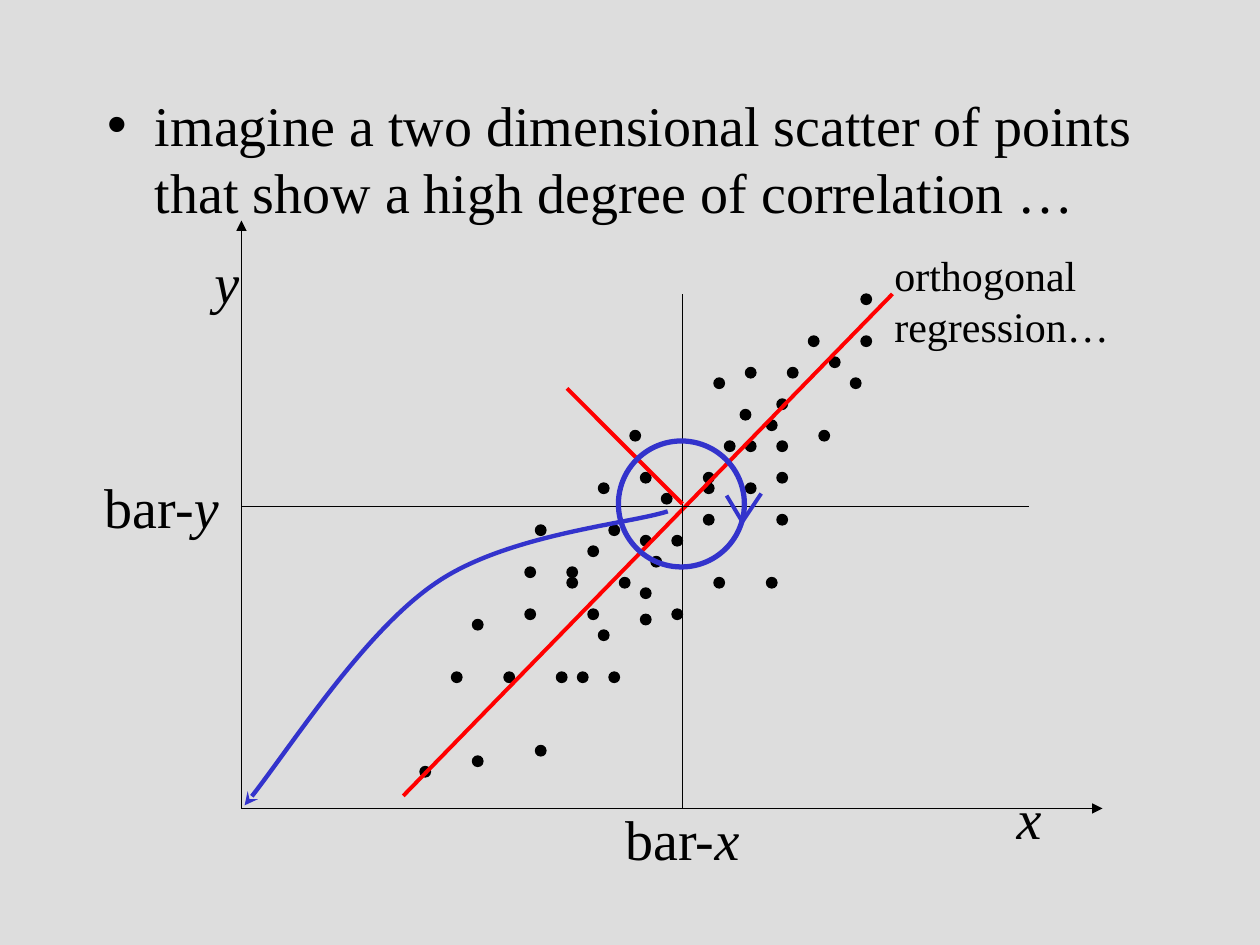
from lxml.etree import SubElement
from pptx import Presentation
from pptx.dml.color import RGBColor
from pptx.enum.shapes import MSO_CONNECTOR as Connector, MSO_SHAPE as Preset
from pptx.enum.text import MSO_ANCHOR as Anchor, MSO_AUTO_SIZE as AutoSize, PP_ALIGN as Align
from pptx.oxml.ns import qn
from pptx.util import Inches, Pt

BLACK, RED, BLUE, GREY = "000000", "FF0000", "3333CC", "DDDDDD"
COLUMNS, ROWS = 120, 90  # grid cells of 1/12 inch

# Scatter: grid row -> grid columns of the dots in that row
DOTS = {
    28: [82], 32: [77, 82], 34: [79], 35: [71, 75], 36: [68, 81], 38: [74],
    39: [70.5], 40: [73], 41: [60, 78], 42: [69, 71, 74], 45: [61, 67, 74],
    46: [57, 67, 71], 47: [63], 49: [67, 74], 50: [51, 58], 51: [61, 64],
    52: [56], 53: [62], 54: [50, 54], 55: [54, 59, 68, 73], 56: [61],
    58: [50, 56, 64], 58.5: [61], 59: [45], 60: [57],
    64: [43, 48, 53, 55, 58], 71: [51], 72: [45], 73: [40],
}


def color(value):
    return RGBColor.from_string(value)


def write(paragraph, text, font="Times New Roman", size=32, ink=BLACK, italic=False):
    run = paragraph.add_run()
    run.text = text
    run.font.name, run.font.size, run.font.italic = font, Pt(size), italic
    run.font.color.rgb = color(ink)


class Canvas:
    """Holds the current slide and draws on it in grid cells."""

    def __init__(self, presentation, background):
        self.slide = presentation.slides.add_slide(presentation.slide_layouts[1])
        self.cell_width = presentation.slide_width / COLUMNS
        self.cell_height = presentation.slide_height / ROWS
        self.slide.background.fill.solid()
        self.slide.background.fill.fore_color.rgb = color(background)
        self.shapes = self.slide.shapes

    def place(self, *cells):
        sizes = (self.cell_width, self.cell_height) * 2
        return [round(cell * size) for cell, size in zip(cells, sizes)]

    def group(self):
        self.shapes = self.slide.shapes.add_group_shape().shapes

    def ungroup(self):
        self.shapes = self.slide.shapes

    def outline(self, line, ink, width, head=None):
        line.color.rgb, line.width = color(ink), Pt(width)
        if head:
            SubElement(line._get_or_add_ln(), qn("a:tailEnd"), type=head)

    def line(self, start, end, ink=BLACK, width=0.75, head=None):
        connector = self.shapes.add_connector(Connector.STRAIGHT, *self.place(*start, *end))
        self.outline(connector.line, ink, width, head)
        SubElement(connector._element.spPr, qn("a:effectLst"))

    def ellipse(self, box, ink=BLACK, width=0.75, fill=None):
        shape = self.shapes.add_shape(Preset.OVAL, *self.place(*box))
        shape.shadow.inherit = False
        if fill:
            shape.fill.solid()
            shape.fill.fore_color.rgb = color(fill)
        else:
            shape.fill.background()
        self.outline(shape.line, ink, width)

    def curve(self, points, ink, width, head):
        """Cubic curve: a start, then two control points and an end per part."""
        start, *rest = [self.place(*point) for point in points]
        builder = self.shapes.build_freeform(*start)
        builder.add_line_segments(rest, close=False)
        shape = builder.convert_to_shape()
        shape.shadow.inherit = False
        shape.fill.background()
        self.outline(shape.line, ink, width, head)
        outline = next(shape._element.iter(qn("a:path")))
        segments = outline.findall(qn("a:lnTo"))
        for first in range(0, len(segments), 3):
            bezier = SubElement(outline, qn("a:cubicBezTo"))
            for segment in segments[first:first + 3]:
                bezier.append(segment[0])
                outline.remove(segment)

    def label(self, box, text, italic_text="", align=Align.CENTER, **style):
        frame = self.shapes.add_textbox(*self.place(*box)).text_frame
        frame.word_wrap = True
        paragraph = frame.paragraphs[0]
        paragraph.alignment = align
        if text:
            write(paragraph, text, **style)
        if italic_text:
            write(paragraph, italic_text, italic=True, **style)

    def bullet(self, box, text):
        title = self.slide.shapes.title._element
        title.getparent().remove(title)
        body = self.slide.placeholders[1]
        body.left, body.top, body.width, body.height = self.place(*box)
        frame = body.text_frame
        frame.auto_size, frame.vertical_anchor = AutoSize.NONE, Anchor.TOP
        paragraph = frame.paragraphs[0]
        properties = paragraph._p.get_or_add_pPr()
        properties.set("marL", str(Inches(0.38)))
        properties.set("indent", str(Inches(-0.38)))
        SubElement(properties, qn("a:buChar"), char="•")
        paragraph.space_before = Pt(0)
        write(paragraph, text)


def main():
    presentation = Presentation()
    presentation.slide_width, presentation.slide_height = Inches(10), Inches(7.5)
    canvas = Canvas(presentation, GREY)

    # Opening statement
    canvas.bullet((9, 8, 102, 20), "imagine a two dimensional scatter of points "
                  "that show a high degree of correlation …")

    # Scatter of points
    canvas.group()
    for row, columns in DOTS.items():
        for column in columns:
            canvas.ellipse((column, row, 1, 1), fill=BLACK)
    canvas.ungroup()

    # Regression line
    canvas.line((38.4, 75.8), (85, 28), RED, 2.25)

    # Axes with their names
    canvas.group()
    origin = (23, 77)
    for end in ((105, 77), (23, 21)):
        canvas.line(origin, end, head="triangle")
    canvas.label((94, 74, 8, 7.7), "", "x")
    canvas.label((17.6, 23, 8, 7.7), "", "y")

    # Mean of x
    canvas.group()
    canvas.label((55, 76, 20, 7.7), "bar-", "x")
    canvas.line((65, 77), (65, 28))

    # Mean of y
    canvas.group()
    canvas.label((6, 44.4, 16, 7.7), "bar-", "y", align=Align.RIGHT)
    canvas.line((23, 48.25), (98, 48.25))
    canvas.ungroup()

    # Second axis of the rotated system
    canvas.line((65, 48), (54, 37), RED, 2.25)

    # Shift to the origin
    canvas.curve([(63.6, 48.7), (59.9, 49.9), (48.1, 50.9), (41.4, 55.6),
                  (34.7, 60.2), (27, 72.2), (23.3, 76.7)], BLUE, 2.5, "stealth")

    # Rotation circle with its arrowhead
    canvas.group()
    canvas.ellipse((58.9, 42, 12, 12), BLUE, 3)
    for end in ((72.5, 47), (69.2, 47.2)):
        canvas.line((70.7, 49.7), end, BLUE, 2.25)
    canvas.ungroup()

    canvas.label((84, 23.2, 24, 10.8), "orthogonal regression…", align=Align.LEFT, size=24)

    presentation.save("out.pptx")


if __name__ == "__main__":
    main()
